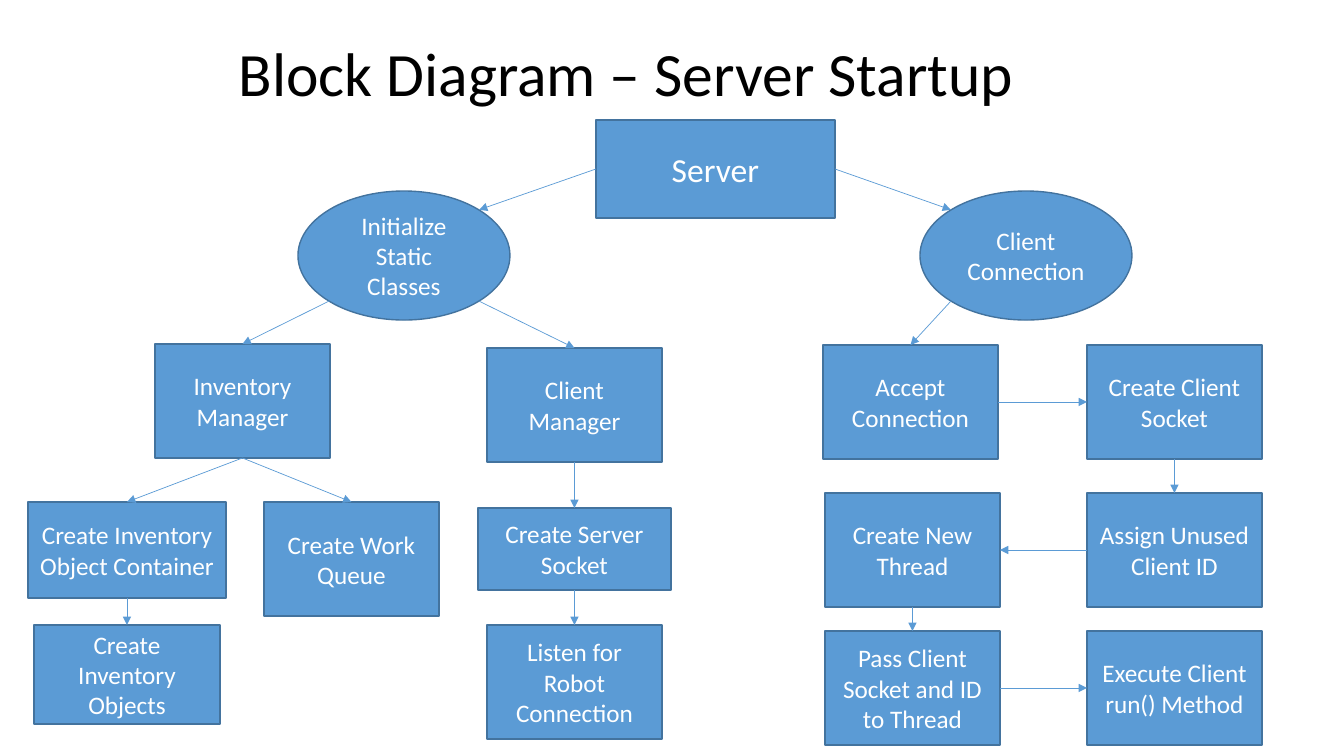
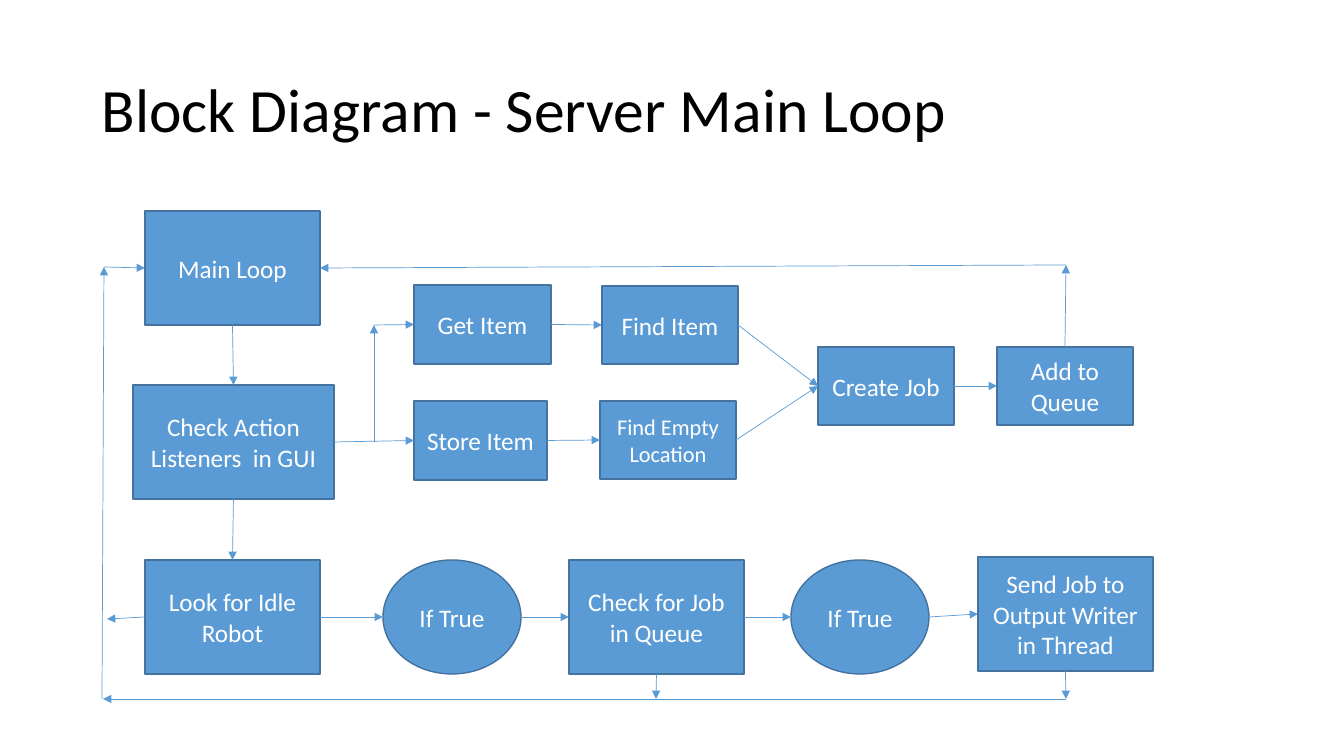
from lxml import etree
from pptx import Presentation
from pptx import util as u
from pptx.dml.color import RGBColor
from pptx.enum import shapes, text
from pptx.oxml import ns

SCALE = 914400 / 100.8
BLUE = RGBColor(0x5B, 0x9B, 0xD5)
EDGE = RGBColor(0x43, 0x73, 0x9E)
WHITE = RGBColor(0xFF, 0xFF, 0xFF)
BLACK = RGBColor(0x00, 0x00, 0x00)
FONT = "Calibri"

RECT = shapes.MSO_SHAPE.FLOWCHART_PROCESS
OVAL = shapes.MSO_SHAPE.OVAL
STEP = (175, 114)
START = (212, 129)
TEST = (138, 114)
SMALL = (136, 78)

TOP, LEFT, BOTTOM, RIGHT = (0.5, 0), (0, 0.5), (0.5, 1), (1, 0.5)
SITES = [TOP, LEFT, BOTTOM, RIGHT]
TOP_LEFT, TOP_RIGHT = (0.146, 0.146), (0.854, 0.146)
BOTTOM_LEFT, BOTTOM_RIGHT = (0.146, 0.854), (0.854, 0.854)

startup = {
    "title": ("Block Diagram – Server Startup", (47, 29, 1159, 95), text.PP_ALIGN.CENTER),
    "boxes": [
        ("server", "Server", 596, 120, (239, 98), RECT, 24),
        ("initialize", "Initialize Static Classes", 298, 191, START, OVAL, 18),
        ("client", "Client Connection", 920, 191, START, OVAL, 18),
        ("inventory", "Inventory Manager", 155, 344, STEP, RECT, 18),
        ("manager", "Client Manager", 487, 348, STEP, RECT, 18),
        ("container", "Create Inventory Object Container", 28, 502, (198, 96), RECT, 18),
        ("objects", "Create Inventory Objects", 34, 625, (186, 99), RECT, 18),
        ("queue", "Create Work Queue", 264, 502, STEP, RECT, 18),
        ("server socket", "Create Server Socket", 478, 508, (193, 82), RECT, 18),
        ("listen", "Listen for Robot Connection", 487, 625, STEP, RECT, 18),
        ("accept", "Accept Connection", 823, 345, STEP, RECT, 18),
        ("client socket", "Create Client Socket", 1087, 345, STEP, RECT, 18),
        ("assign", "Assign Unused Client ID", 1087, 493, STEP, RECT, 18),
        ("thread", "Create New Thread", 825, 493, STEP, RECT, 18),
        ("pass", "Pass Client Socket and ID to Thread", 825, 631, STEP, RECT, 18),
        ("execute", "Execute Client run() Method", 1087, 631, STEP, RECT, 18),
    ],
    "arrows": [
        (("server", LEFT), ("initialize", TOP_RIGHT)),
        (("server", RIGHT), ("client", TOP_LEFT)),
        (("initialize", BOTTOM_LEFT), ("inventory", TOP)),
        (("initialize", BOTTOM_RIGHT), ("manager", TOP)),
        (("inventory", BOTTOM), ("container", TOP)),
        (("inventory", BOTTOM), ("queue", TOP)),
        (("container", BOTTOM), ("objects", TOP)),
        (("manager", BOTTOM), ("server socket", TOP)),
        (("server socket", BOTTOM), ("listen", TOP)),
        (("client", BOTTOM_LEFT), ("accept", TOP)),
        (("accept", RIGHT), ("client socket", LEFT)),
        (("client socket", BOTTOM), ("assign", TOP)),
        (("assign", LEFT), ("thread", RIGHT)),
        (("thread", BOTTOM), ("pass", TOP)),
        (("pass", RIGHT), ("execute", LEFT)),
    ],
}

main_loop = {
    "title": ("Block Diagram - Server Main Loop", (92, 40, 1159, 146), text.PP_ALIGN.LEFT),
    "boxes": [
        ("main", "Main Loop", 145, 211, STEP, RECT, 18),
        ("listeners", "Check Action Listeners  in GUI", 133, 385, (201, 114), RECT, 18),
        ("idle", "Look for Idle Robot", 145, 560, STEP, RECT, 18),
        ("idle test", "If True", 383, 560, TEST, OVAL, 18),
        ("check", "Check for Job in Queue", 569, 560, STEP, RECT, 18),
        ("check test", "If True", 791, 560, TEST, OVAL, 18),
        ("send", "Send Job to Output Writer in Thread", 978, 557, STEP, RECT, 18),
        ("get", "Get Item", 414, 285, (137, 79), RECT, 18),
        ("store", "Store Item", 414, 401, (133, 79), RECT, 18),
        ("find", "Find Item", 602, 286, SMALL, RECT, 18),
        ("empty", "Find Empty Location", 600, 401, SMALL, RECT, 16),
        ("create", "Create Job", 818, 347, SMALL, RECT, 18),
        ("add", "Add to Queue", 997, 347, SMALL, RECT, 18),
    ],
    "arrows": [
        (("main", BOTTOM), ("listeners", TOP)),
        (("listeners", BOTTOM), ("idle", TOP)),
        (("idle", RIGHT), ("idle test", LEFT)),
        (("idle test", RIGHT), ("check", LEFT)),
        (("check", RIGHT), ("check test", LEFT)),
        (("check test", RIGHT), ("send", LEFT)),
        (("idle", LEFT), (107, 619)),
        (("check", BOTTOM), (656, 699)),
        (("send", BOTTOM), (1066, 699)),
        ((1066, 699), (103, 699)),
        ((102, 699), (104, 267)),
        ((104, 267), ("main", LEFT)),
        (("listeners", RIGHT), ("store", LEFT)),
        ((374, 442), (374, 325)),
        ((374, 325), ("get", LEFT)),
        (("get", RIGHT), ("find", LEFT)),
        (("store", RIGHT), ("empty", LEFT)),
        (("find", RIGHT), ("create", LEFT)),
        (("empty", RIGHT), ("create", LEFT)),
        (("create", RIGHT), ("add", LEFT)),
        (("add", TOP), (1066, 265)),
        ((1066, 265), ("main", RIGHT)),
    ],
}


def write(shape, words, size, color, align=text.PP_ALIGN.CENTER, spacing=1.0):
    frame = shape.text_frame
    frame.word_wrap = True
    frame.vertical_anchor = text.MSO_ANCHOR.MIDDLE
    para = frame.paragraphs[0]
    para.alignment = align
    para.line_spacing = spacing
    span = para.add_run()
    span.text = words
    span.font.name = FONT
    span.font.size = u.Pt(size)
    span.font.color.rgb = color


def locate(end, boxes):
    if end[0] not in boxes:
        return [round(value * SCALE) for value in end]
    box, (across, down) = boxes[end[0]], end[1]
    return [round(box.left + across * box.width), round(box.top + down * box.height)]


deck = Presentation()
deck.slide_width, deck.slide_height = round(1344 * SCALE), round(756 * SCALE)

for diagram in (startup, main_loop):
    page = deck.slides.add_slide(deck.slide_layouts[6])
    words, frame, align = diagram["title"]
    title = page.shapes.add_textbox(*[round(value * SCALE) for value in frame])
    write(title, words, 44, BLACK, align=align, spacing=0.9)

    boxes = {}
    for name, words, left, top, size, kind, points in diagram["boxes"]:
        area = [round(value * SCALE) for value in (left, top, *size)]
        box = page.shapes.add_shape(kind, *area)
        box.shadow.inherit = False
        box.fill.solid()
        box.fill.fore_color.rgb = BLUE
        box.line.color.rgb = EDGE
        box.line.width = u.Pt(1)
        write(box, words, points, WHITE)
        boxes[name] = box

    for start, finish in diagram["arrows"]:
        arrow = page.shapes.add_connector(
            shapes.MSO_CONNECTOR.STRAIGHT, *locate(start, boxes), *locate(finish, boxes))
        for end, attach in ((start, arrow.begin_connect), (finish, arrow.end_connect)):
            if end[0] in boxes and boxes[end[0]].auto_shape_type == RECT:
                attach(boxes[end[0]], SITES.index(end[1]))
        arrow.line.color.rgb = BLUE
        arrow.line.width = u.Pt(0.5)
        properties = arrow._element.spPr
        etree.SubElement(properties.find(ns.qn("a:ln")), ns.qn("a:tailEnd"), type="triangle")
        etree.SubElement(properties, ns.qn("a:effectLst"))

deck.save("out.pptx")
